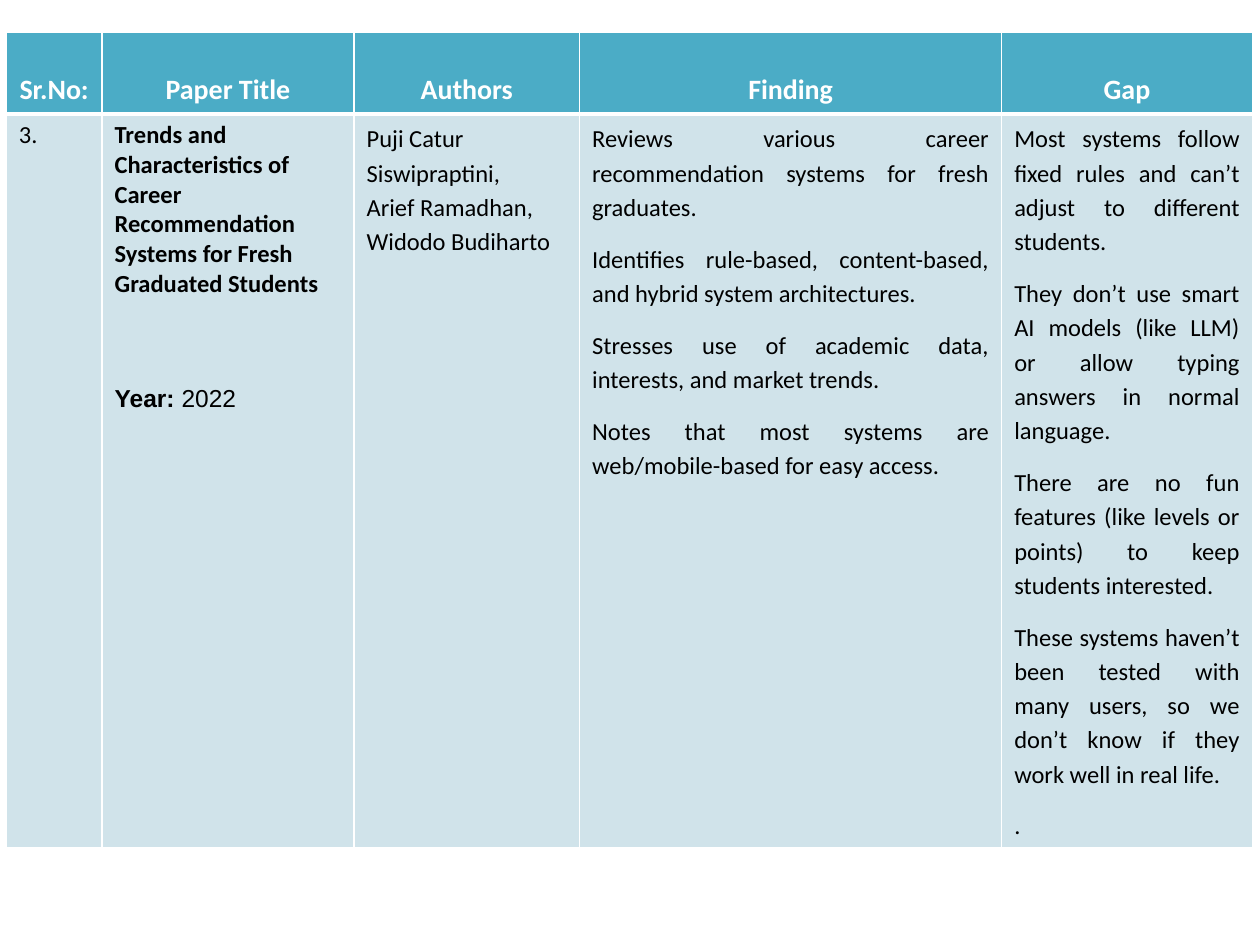
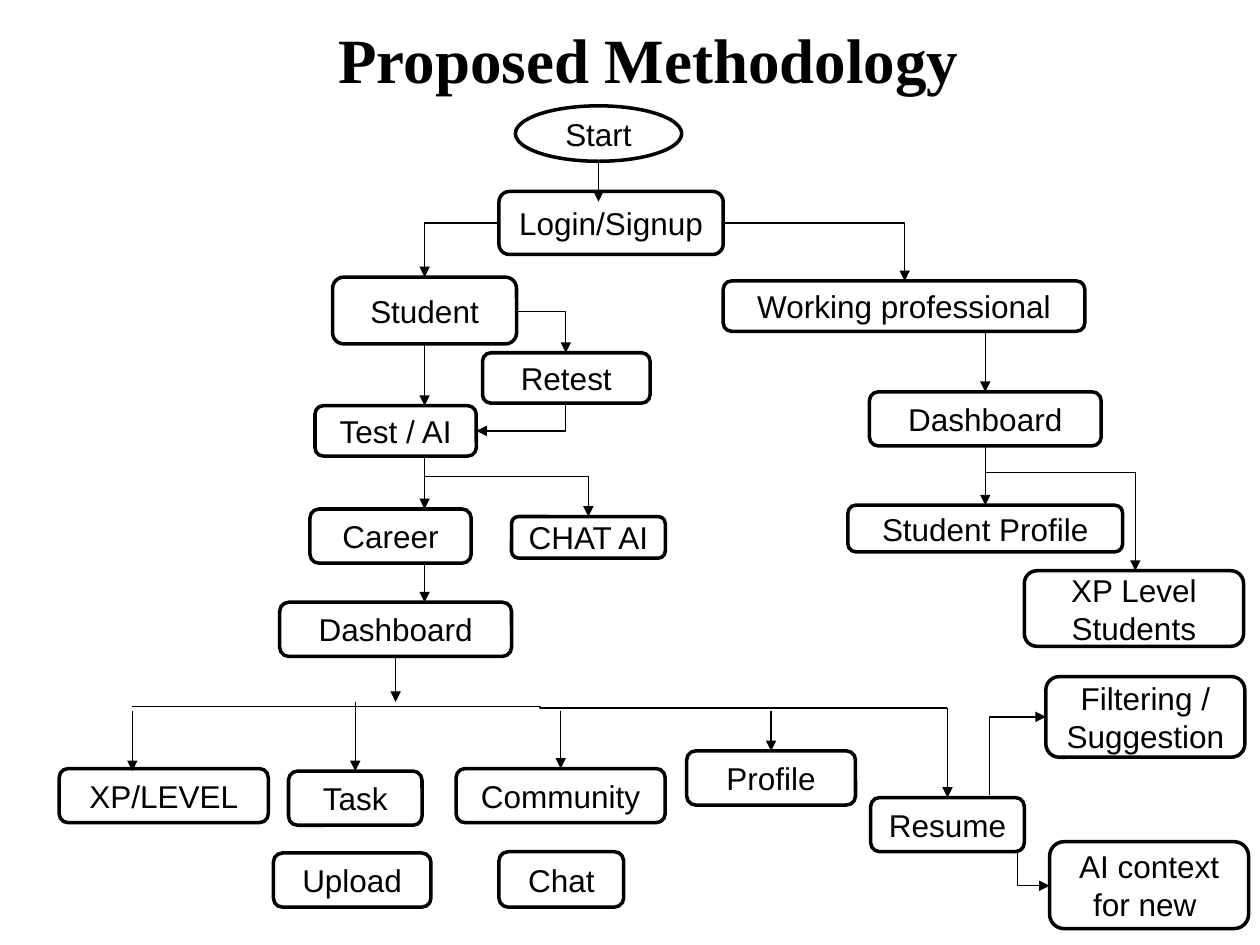
from lxml.etree import SubElement
from pptx import Presentation
from pptx.dml.color import RGBColor
from pptx.enum.shapes import MSO_CONNECTOR as LINE, MSO_SHAPE as SHAPE
from pptx.enum.text import MSO_ANCHOR as ANCHOR, MSO_AUTO_SIZE as AUTO_SIZE, PP_ALIGN as ALIGN
from pptx.oxml.ns import qn
from pptx.util import Pt

PX = 9144  # EMU per px, 100 px to the inch
BLACK, WHITE, TEAL, PALE = "000000", "FFFFFF", "4BACC6", "D0E3EA"
BOTTOM, TOP = 2, 0
rgb = RGBColor.from_string


def add_run(paragraph, text, size, font, color=BLACK, bold=False):
    run = paragraph.add_run()
    run.text = text
    run.font.size, run.font.name, run.font.bold = Pt(size), font, bold
    run.font.color.rgb = rgb(color)


def add_line(slide, kind, x1, y1, x2, y2, arrow=True):
    """Draw a line: straight, step, across_first or down_first."""
    down_first = kind == "down_first"
    if down_first:  # lay the elbow flat, then turn it a quarter about its centre
        cx, cy, dx, dy = (x1 + x2) / 2, (y1 + y2) / 2, x2 - x1, y2 - y1
        x1, y1, x2, y2 = cx - dy / 2, cy + dx / 2, cx + dy / 2, cy - dx / 2
    connector = slide.shapes.add_connector(
        LINE.STRAIGHT if kind == "straight" else LINE.ELBOW,
        *[int(value * PX) for value in (x1, y1, x2, y2)])
    connector.line.color.rgb = rgb(BLACK)
    connector.line.width = Pt(0.75)
    properties = connector._element.spPr
    if down_first:
        properties.find(qn("a:xfrm")).set("rot", "5400000")
    if kind in ("across_first", "down_first"):
        properties.find(qn("a:prstGeom")).set("prst", "bentConnector2")
    if arrow:
        SubElement(properties.find(qn("a:ln")), qn("a:tailEnd"), type="triangle")
    SubElement(properties, qn("a:effectLst"))
    return connector


presentation = Presentation()
presentation.slide_width, presentation.slide_height = 1000 * PX, 750 * PX
blank = presentation.slide_layouts[6]

# Slide 1: literature table
slide = presentation.slides.add_slide(blank)
headings = ["Sr.No:", "Paper Title", "Authors", "Finding", "Gap"]
column_widths = [76, 200, 179, 335, 199]
row_heights = [55, 575]
authors = ["Puji Catur Siswipraptini,", "Arief Ramadhan,", "Widodo Budiharto"]
findings = [
    "Reviews various career recommendation systems for fresh graduates.",
    "Identifies rule-based, content-based, and hybrid system architectures.",
    "Stresses use of academic data, interests, and market trends.",
    "Notes that most systems are web/mobile-based for easy access.",
]
gaps = [
    "Most systems follow fixed rules and can’t adjust to different students.",
    "They don’t use smart AI models (like LLM) or allow typing answers in normal language.",
    "There are no fun features (like levels or points) to keep students interested.",
    "These systems haven’t been tested with many users, so we don’t know if they work well "
    "in real life.",
    ".",
]

table = slide.shapes.add_table(2, 5, 5 * PX, 26 * PX, 990 * PX, 630 * PX).table
for column, width in zip(table.columns, column_widths):
    column.width = width * PX
for row, height in zip(table.rows, row_heights):
    row.height = height * PX

# Cell fills and white borders, thick under the header
for row_number, row in enumerate(table.rows):
    for cell in row.cells:
        cell.fill.solid()
        cell.fill.fore_color.rgb = rgb(PALE if row_number else TEAL)
        cell_properties = cell._tc.get_or_add_tcPr()
        thick_side = "T" if row_number else "B"
        for position, side in enumerate("LRTB"):
            width = Pt(3 if side == thick_side else 1)
            border = SubElement(cell_properties, qn(f"a:ln{side}"), w=str(width))
            SubElement(SubElement(border, qn("a:solidFill")), qn("a:srgbClr"), val=WHITE)
            cell_properties.insert(position, border)

# Header row
for cell, heading in zip(table.rows[0].cells, headings):
    paragraph = cell.text_frame.paragraphs[0]
    paragraph.alignment, paragraph.line_spacing = ALIGN.CENTER, 2.0
    add_run(paragraph, heading, 16, "Calibri", WHITE, True)

# Number, title and year
number_cell, title_cell, authors_cell, findings_cell, gaps_cell = table.rows[1].cells
add_run(number_cell.text_frame.paragraphs[0], "3.", 14, "Calibri")
add_run(title_cell.text_frame.paragraphs[0],
        "Trends and Characteristics of Career Recommendation Systems for Fresh "
        "Graduated Students", 14, "Calibri", bold=True)
paragraph = title_cell.text_frame.add_paragraph()
paragraph.space_before = Pt(49)
add_run(paragraph, "Year:", 14, "Arial", bold=True)
add_run(paragraph, " 2022", 14, "Arial")

# Authors, one to a line
paragraph = authors_cell.text_frame.paragraphs[0]
paragraph.line_spacing, paragraph.space_after = 1.15, Pt(10)
for index, author in enumerate(authors):
    if index:
        paragraph.add_line_break()
    add_run(paragraph, author, 14, "Calibri")

# Findings and gaps
for cell, points in ((findings_cell, findings), (gaps_cell, gaps)):
    frame = cell.text_frame
    for index, point in enumerate(points):
        paragraph = frame.add_paragraph() if index else frame.paragraphs[0]
        paragraph.alignment = ALIGN.JUSTIFY
        paragraph.line_spacing, paragraph.space_after = 1.15, Pt(10)
        add_run(paragraph, point, 14, "Calibri")

# Slide 2: flowchart
slide = presentation.slides.add_slide(blank)
title = slide.shapes.add_textbox(191 * PX, 11 * PX, 660 * PX, 71 * PX)
title.text_frame.word_wrap = True
title.text_frame.auto_size = AUTO_SIZE.SHAPE_TO_FIT_TEXT
paragraph = title.text_frame.paragraphs[0]
paragraph.alignment = ALIGN.CENTER
add_run(paragraph, "Proposed Methodology ", 36, "Times New Roman", bold=True)

# Steps: key, text, left, top, width, height
steps = [
    ("start", "Start", 409, 84, 132, 44),
    ("login", "Login/Signup", 396, 152, 178, 50),
    ("student", "Student", 264, 220, 146, 53),
    ("retest", "Retest", 383, 280, 133, 40),
    ("test", "Test / AI", 250, 322, 128, 40),
    ("career", "Career", 246, 404, 128, 43),
    ("chat ai", "CHAT AI", 406, 410, 122, 33),
    ("student dashboard", "Dashboard", 222, 478, 184, 43),
    ("level", "XP/LEVEL", 47, 610, 166, 43),
    ("task", "Task", 229, 612, 106, 43),
    ("community", "Community", 362, 610, 166, 43),
    ("profile", "Profile", 545, 596, 134, 43),
    ("resume", "Resume", 691, 633, 122, 43),
    ("upload", "Upload", 217, 677, 125, 43),
    ("chat", "Chat", 396, 676, 99, 44),
    ("filtering", "Filtering /\nSuggestion", 830, 537, 158, 64),
    ("ai context", "AI context for new ", 833, 668, 158, 69),
    ("professional", "Working professional", 574, 223, 287, 40),
    ("work dashboard", "Dashboard", 690, 311, 184, 43),
    ("student profile", "Student Profile", 673, 401, 218, 37),
    ("student levels", "XP Level Students", 813, 453, 174, 60),
]
boxes = {}
for key, text, left, top, width, height in steps:
    outline = SHAPE.OVAL if key == "start" else SHAPE.ROUNDED_RECTANGLE
    shape = slide.shapes.add_shape(outline, left * PX, top * PX, width * PX, height * PX)
    shape.shadow.inherit = False
    shape.fill.solid()
    shape.fill.fore_color.rgb = rgb(WHITE)
    shape.line.color.rgb = rgb(BLACK)
    shape.line.width = Pt(2)
    frame = shape.text_frame
    frame.word_wrap, frame.vertical_anchor = True, ANCHOR.MIDDLE
    for index, line in enumerate(text.split("\n")):
        paragraph = frame.add_paragraph() if index else frame.paragraphs[0]
        paragraph.alignment = ALIGN.CENTER
        add_run(paragraph, line, 18, "Arial")
    boxes[key] = shape

# Straight arrows: x, top, bottom, box joined at the start, box joined at the end
for x, top, bottom, source, target in [
    (475, 128, 160, "start", None),
    (337, 273, 322, "student", None),
    (337, 362, 404, None, None),
    (337, 447, 478, None, None),
    (314, 521, 557, "student dashboard", None),
    (105, 564, 612, None, None),
    (282, 557, 612, None, "task"),
    (445, 564, 610, None, "community"),
    (612, 564, 596, None, "profile"),
    (752, 562, 633, None, "resume"),
    (782, 263, 311, None, "work dashboard"),
    (782, 354, 401, "work dashboard", "student profile"),
]:
    arrow = add_line(slide, "straight", x, top, x, bottom)
    if source:
        arrow.begin_connect(boxes[source], BOTTOM)
    if target:
        arrow.end_connect(boxes[target], TOP)

# Bent arrows
for bend in [
    ("across_first", 396, 177, 337, 220),
    ("across_first", 574, 177, 718, 223),
    ("across_first", 410, 247, 449, 280),
    ("down_first", 449, 320, 378, 342),
    ("across_first", 337, 378, 467, 410),
    ("across_first", 782, 375, 901, 453),
    ("down_first", 785, 631, 830, 569),
    ("step", 782, 676, 833, 703),
]:
    add_line(slide, *bend)

# Rail above the dashboard features
add_line(slide, "step", 105, 561, 752, 562, arrow=False)

presentation.save("out.pptx")
